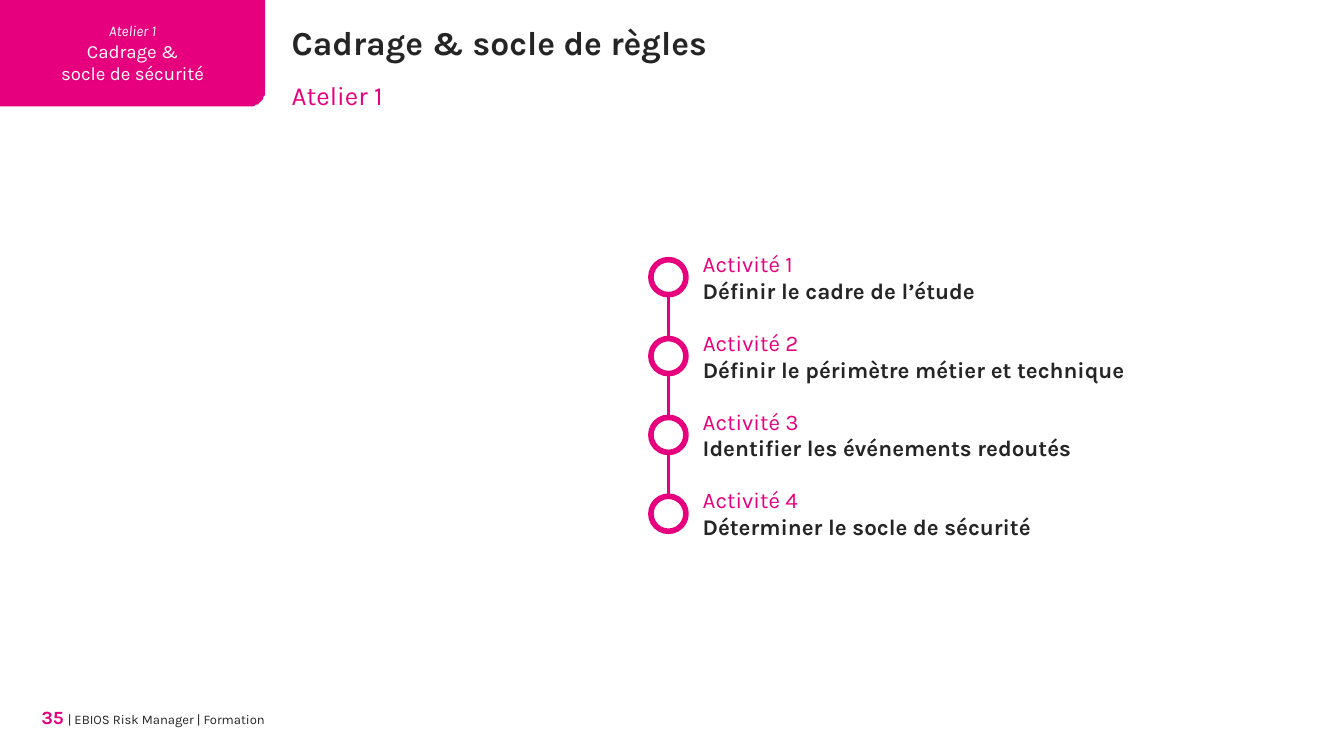
"""Build the workshop 1 slide: its banner, title and timeline of four activities."""
from dataclasses import dataclass
from math import cos, pi, sin

from lxml.etree import SubElement
from pptx import Presentation
from pptx.dml.color import RGBColor
from pptx.enum.shapes import MSO_CONNECTOR, MSO_SHAPE
from pptx.enum.text import MSO_ANCHOR as Anchor, MSO_AUTO_SIZE as AutoSize, PP_ALIGN as Align
from pptx.oxml.ns import qn
from pptx.shapes.autoshape import Shape
from pptx.slide import Slide
from pptx.text.text import TextFrame, _Paragraph as Paragraph
from pptx.util import Pt

PINK = RGBColor(0xE6, 0x00, 0x7E)
DARK = RGBColor(0x25, 0x25, 0x25)
GREY = RGBColor(0x32, 0x32, 0x32)
WHITE = RGBColor(0xFF, 0xFF, 0xFF)
FONT = "Karla"

BANNER_WIDTH, BANNER_HEIGHT, BANNER_RADIUS = 142, 56.8, 8
AXIS_X, FIRST_TOP, STEP, DIAMETER = 358.1, 139.1, 42.25, 18.8
LABEL_LEFT, LABEL_RISE, LABEL_HEIGHT = 376.5, 5.2, 28.8


@dataclass(frozen=True)
class Activity:
    heading: str
    goal: str
    label_width: float = 206.6


ACTIVITIES = [
    Activity("Activité 1", "Définir le cadre de l’étude"),
    Activity("Activité 2", "Définir le périmètre métier et technique", 234),
    Activity("Activité 3", "Identifier les événements redoutés"),
    Activity("Activité 4", "Déterminer le socle de sécurité"),
]


def add_run(paragraph: Paragraph, text: str, size: float, color: RGBColor,
            bold: bool = False, italic: bool = False) -> None:
    run = paragraph.add_run()
    run.text = text
    font = run.font
    font.name, font.size, font.bold, font.italic = FONT, Pt(size), bold, italic
    font.color.rgb = color


def prepare_frame(shape: Shape, anchor: Anchor = Anchor.TOP) -> TextFrame:
    frame = shape.text_frame
    frame.margin_left = frame.margin_right = frame.margin_top = frame.margin_bottom = 0
    frame.word_wrap = True
    frame.auto_size = AutoSize.NONE
    frame.vertical_anchor = anchor
    return frame


def place(shape: Shape, left: float, top: float, width: float, height: float) -> None:
    shape.left, shape.top, shape.width, shape.height = Pt(left), Pt(top), Pt(width), Pt(height)


def fill_heading(placeholder: Shape, text: str, size: float, color: RGBColor,
                 bold: bool = False) -> None:
    paragraph = prepare_frame(placeholder).paragraphs[0]
    properties = paragraph._p.get_or_add_pPr()
    properties.set("marL", "0")
    properties.set("indent", "0")
    SubElement(properties, qn("a:buNone"))
    paragraph.alignment = Align.LEFT
    paragraph.space_before = Pt(0)
    add_run(paragraph, text, size, color, bold)


def add_banner(slide: Slide) -> None:
    angles = [step * pi / 24 for step in range(13)]
    corner = [(BANNER_WIDTH - BANNER_RADIUS * (1 - cos(angle)),
               BANNER_HEIGHT - BANNER_RADIUS * (1 - sin(angle))) for angle in angles]
    outline = slide.shapes.build_freeform(0, 0, scale=Pt(1))
    outline.add_line_segments([(BANNER_WIDTH, 0), *corner, (0, BANNER_HEIGHT)])
    banner = outline.convert_to_shape()
    banner.shadow.inherit = False
    banner.fill.solid()
    banner.fill.fore_color.rgb = PINK
    banner.line.fill.background()
    frame = prepare_frame(banner, Anchor.MIDDLE)
    workshop, *topic = "Atelier 1", "Cadrage &", "socle de sécurité"
    first = frame.paragraphs[0]
    first.alignment = Align.CENTER
    add_run(first, workshop, 8, WHITE, italic=True)
    for line in topic:
        paragraph = frame.add_paragraph()
        paragraph.alignment = Align.CENTER
        add_run(paragraph, line, 10, WHITE)


def add_footer(slide: Slide) -> None:
    footer = slide.shapes.add_textbox(Pt(14.4), Pt(378), Pt(127.5), Pt(14.4))
    paragraph = prepare_frame(footer).paragraphs[0]
    paragraph.alignment = Align.RIGHT
    add_run(paragraph, "35", 10, PINK, bold=True)
    add_run(paragraph, " ", 9, GREY)
    add_run(paragraph, "| EBIOS Risk Manager | Formation", 7, DARK)


def add_axis(slide: Slide) -> None:
    bottom = FIRST_TOP + STEP * (len(ACTIVITIES) - 1) + DIAMETER
    axis = slide.shapes.add_connector(
        MSO_CONNECTOR.STRAIGHT, Pt(AXIS_X), Pt(FIRST_TOP), Pt(AXIS_X), Pt(bottom))
    axis.line.color.rgb = PINK
    axis.line.width = Pt(1.25)
    SubElement(axis._element.spPr, qn("a:effectLst"))


def add_activity(slide: Slide, activity: Activity, top: float) -> None:
    milestone = slide.shapes.add_shape(
        MSO_SHAPE.OVAL, Pt(AXIS_X - DIAMETER / 2), Pt(top), Pt(DIAMETER), Pt(DIAMETER))
    milestone.shadow.inherit = False
    milestone.fill.solid()
    milestone.fill.fore_color.rgb = WHITE
    milestone.line.color.rgb = PINK
    milestone.line.width = Pt(3)
    label = slide.shapes.add_textbox(
        Pt(LABEL_LEFT), Pt(top - LABEL_RISE), Pt(activity.label_width), Pt(LABEL_HEIGHT))
    paragraph = prepare_frame(label).paragraphs[0]
    add_run(paragraph, activity.heading, 12, PINK)
    paragraph.add_line_break()
    add_run(paragraph, activity.goal, 12, DARK, bold=True)


def main() -> None:
    deck = Presentation()
    deck.slide_width, deck.slide_height = Pt(720), Pt(405)
    slide = deck.slides.add_slide(deck.slide_layouts[1])
    title, subtitle = slide.placeholders
    place(title, 156.2, 11.5, 538.6, 21.6)
    fill_heading(title, "Cadrage & socle de règles", 18, DARK, bold=True)
    place(subtitle, 156.2, 42.7, 506.9, 17.3)
    fill_heading(subtitle, "Atelier 1", 14, PINK)
    add_banner(slide)
    add_footer(slide)
    add_axis(slide)
    for index, activity in enumerate(ACTIVITIES):
        add_activity(slide, activity, FIRST_TOP + index * STEP)
    deck.save("out.pptx")


if __name__ == "__main__":
    main()
